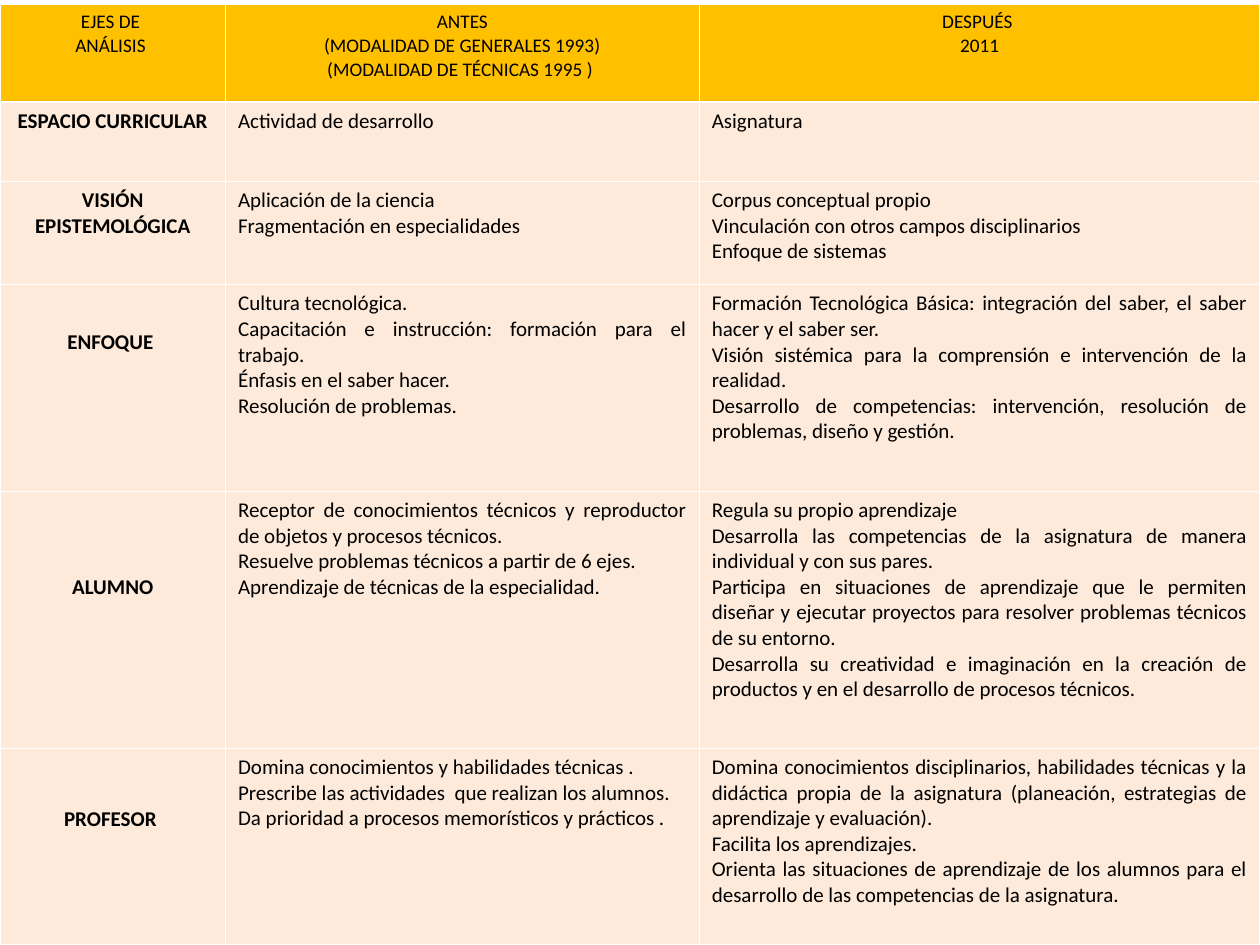
from dataclasses import dataclass

from pptx import Presentation
from pptx.dml.color import RGBColor
from pptx.enum.text import PP_ALIGN
from pptx.util import Inches, Length, Pt

AMBER = RGBColor(0xFF, 0xC0, 0x00)
PEACH = RGBColor(0xFD, 0xEA, 0xDA)
BLACK = RGBColor(0x00, 0x00, 0x00)
FONT_NAME = "Calibri"
COLUMN_WIDTHS = [Inches(1.79), Inches(3.76), Inches(4.45)]


@dataclass(frozen=True)
class CellStyle:
    fill: RGBColor
    size: Length
    bold: bool
    alignment: PP_ALIGN


@dataclass(frozen=True)
class Axis:
    height: Length
    name: str
    before: list[str]
    after: list[str]
    name_offset: Length = Inches(0)


HEADER = CellStyle(AMBER, Pt(11), False, PP_ALIGN.CENTER)
AXIS_NAME = CellStyle(PEACH, Pt(12), True, PP_ALIGN.CENTER)
BODY = CellStyle(PEACH, Pt(12), False, PP_ALIGN.JUSTIFY)

HEADER_HEIGHT = Inches(0.78)
HEADINGS = [
    ["EJES DE ", "ANÁLISIS "],
    ["ANTES", "(MODALIDAD DE GENERALES 1993)", "(MODALIDAD DE TÉCNICAS 1995 ) "],
    ["DESPUÉS ", "2011"],
]
AXES = [
    Axis(Inches(0.63), "ESPACIO CURRICULAR", ["Actividad de desarrollo"], ["Asignatura"]),
    Axis(
        Inches(0.82),
        "VISIÓN EPISTEMOLÓGICA",
        ["Aplicación de la ciencia", "Fragmentación en especialidades"],
        [
            "Corpus conceptual propio",
            "Vinculación con otros campos disciplinarios",
            "Enfoque de sistemas",
        ],
    ),
    Axis(
        Inches(1.64),
        "ENFOQUE ",
        [
            "Cultura tecnológica. ",
            "Capacitación e instrucción: formación para el trabajo. ",
            "Énfasis en el saber hacer.",
            "Resolución de problemas. ",
        ],
        [
            "Formación Tecnológica Básica: integración del saber, el saber hacer y el saber ser.",
            "Visión sistémica para la comprensión e intervención de la realidad.",
            "Desarrollo de competencias: intervención, resolución de problemas, diseño y gestión. ",
        ],
        Inches(0.31),
    ),
    Axis(
        Inches(2.04),
        "ALUMNO",
        [
            "Receptor de conocimientos técnicos y reproductor de objetos y procesos técnicos.",
            "Resuelve problemas técnicos a partir de 6 ejes.",
            "Aprendizaje de técnicas de la especialidad.",
        ],
        [
            "Regula su propio aprendizaje",
            "Desarrolla las competencias de la asignatura de manera individual y con sus pares.",
            "Participa en situaciones de aprendizaje que le permiten diseñar y ejecutar "
            "proyectos para resolver problemas técnicos de su entorno.",
            "Desarrolla su creatividad e imaginación en la creación de productos y en el "
            "desarrollo de procesos técnicos.",
        ],
        Inches(0.61),
    ),
    Axis(
        Inches(1.56),
        "PROFESOR ",
        [
            "Domina conocimientos y habilidades técnicas .",
            "Prescribe las actividades  que realizan los alumnos. ",
            "Da prioridad a procesos memorísticos y prácticos .",
        ],
        [
            "Domina conocimientos disciplinarios, habilidades técnicas y la didáctica propia "
            "de la asignatura (planeación, estrategias de aprendizaje y evaluación).",
            "Facilita los aprendizajes.",
            "Orienta las situaciones de aprendizaje de los alumnos para el desarrollo de las "
            "competencias de la asignatura. ",
        ],
        Inches(0.41),
    ),
]


def fill_cell(cell, lines: list[str], style: CellStyle, offset: Length = Inches(0)) -> None:
    cell.fill.solid()
    cell.fill.fore_color.rgb = style.fill
    cell.margin_left = cell.margin_right = Inches(0.1)
    cell.margin_top = Inches(0.05) + offset
    cell.margin_bottom = Inches(0.05)
    cell.text = "\n".join(lines)
    for para in cell.text_frame.paragraphs:
        para.alignment = style.alignment
        para.font.name = FONT_NAME
        para.font.size = style.size
        para.font.bold = style.bold
        para.font.color.rgb = BLACK


def add_comparison(page) -> None:
    heights = [HEADER_HEIGHT] + [axis.height for axis in AXES]
    table = page.shapes.add_table(
        len(heights), len(COLUMN_WIDTHS), Inches(0), Inches(0.03), sum(COLUMN_WIDTHS), sum(heights)
    ).table
    for column, width in zip(table.columns, COLUMN_WIDTHS):
        column.width = width
    for row, height in zip(table.rows, heights):
        row.height = height
    for column_index, lines in enumerate(HEADINGS):
        fill_cell(table.cell(0, column_index), lines, HEADER)
    for row_index, axis in enumerate(AXES, start=1):
        fill_cell(table.cell(row_index, 0), [axis.name], AXIS_NAME, axis.name_offset)
        fill_cell(table.cell(row_index, 1), axis.before, BODY)
        fill_cell(table.cell(row_index, 2), axis.after, BODY)


def main() -> None:
    deck = Presentation()
    deck.slide_width, deck.slide_height = Inches(10), Inches(7.5)
    page = deck.slides.add_slide(deck.slide_layouts[6])
    add_comparison(page)
    deck.save("out.pptx")


if __name__ == "__main__":
    main()
